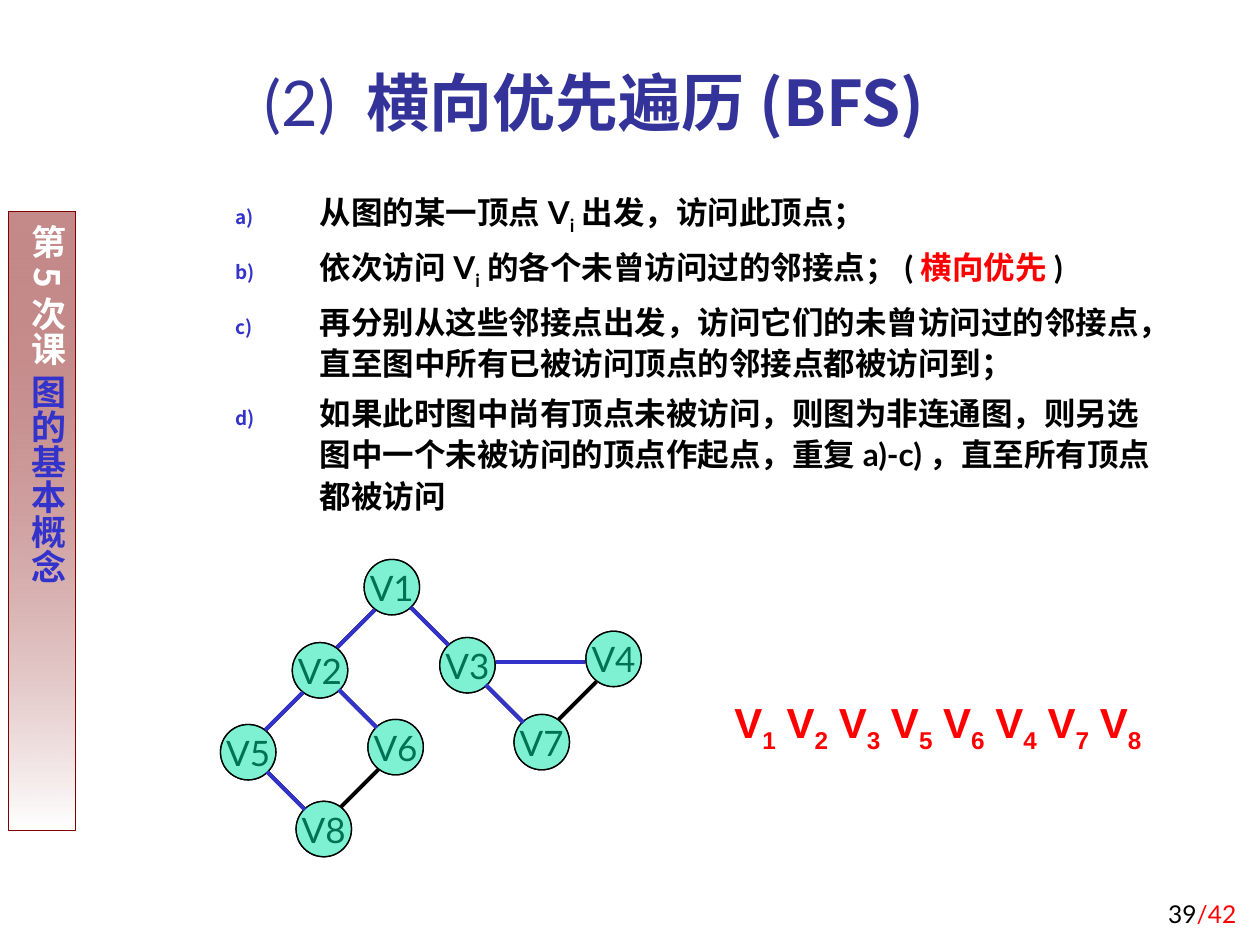
"""Builds the slide on breadth-first traversal of a graph."""
from math import copysign

from lxml import etree
from pptx import Presentation
from pptx.dml.color import RGBColor
from pptx.enum.shapes import MSO_CONNECTOR, MSO_SHAPE
from pptx.enum.text import MSO_ANCHOR, PP_ALIGN
from pptx.oxml.ns import qn
from pptx.util import Inches, Pt

LEFT, CENTER, RIGHT = PP_ALIGN.LEFT, PP_ALIGN.CENTER, PP_ALIGN.RIGHT
TOP, MIDDLE, BOTTOM = MSO_ANCHOR.TOP, MSO_ANCHOR.MIDDLE, MSO_ANCHOR.BOTTOM
RECTANGLE, OVAL = MSO_SHAPE.RECTANGLE, MSO_SHAPE.OVAL
STRAIGHT = MSO_CONNECTOR.STRAIGHT

BLACK = RGBColor(0x00, 0x00, 0x00)
WHITE = RGBColor(0xFF, 0xFF, 0xFF)
RED = RGBColor(0xFF, 0x00, 0x00)
MAROON = RGBColor(0x80, 0x00, 0x00)
BLUE = RGBColor(0x33, 0x33, 0xCC)
NAVY = RGBColor(0x33, 0x33, 0x99)
MINT = RGBColor(0x00, 0xE4, 0xA8)

LATO, CJK, ARIAL = "Lato", "Noto Sans CJK SC", "Arial"

STEPS = [
    [("从图的某一顶点V", {}), ("i", {"sub": True}), ("出发，访问此顶点；", {})],
    [("依次访问V", {}), ("i", {"sub": True}), ("的各个未曾访问过的邻接点；(", {}),
     ("横向优先", {"color": RED}), (")", {})],
    [("再分别从这些邻接点出发，访问它们的未曾访问过的邻接点，"
      "直至图中所有已被访问顶点的邻接点都被访问到；", {})],
    [("如果此时图中尚有顶点未被访问，则图为非连通图，则另选图中一个未被访问的顶点作起点，"
      "重复a)-c)，直至所有顶点都被访问", {})],
]
VERTICES = {
    "V1": (2.89, 4.44), "V2": (2.32, 5.1), "V3": (3.49, 5.06), "V4": (4.65, 5.01),
    "V5": (1.75, 5.75), "V6": (2.92, 5.71), "V7": (4.08, 5.67), "V8": (2.35, 6.36),
}
TREE_EDGES = [("V1", "V2"), ("V1", "V3"), ("V2", "V5"), ("V2", "V6"),
              ("V3", "V4"), ("V3", "V7"), ("V5", "V8")]
OTHER_EDGES = [("V4", "V7"), ("V6", "V8")]
VISIT_ORDER = "12356478"
DIAMETER = 0.44


class GraphSlide:
    """Holds the current slide and draws its kinds of element in one style."""

    def __init__(self, slide):
        self.slide = slide

    def fill_paragraph(self, paragraph, runs, size, font, color, bold=False, align=LEFT):
        paragraph.alignment = align
        paragraph.font.size = Pt(size)
        paragraph.font.bold = bold
        paragraph.font.name = font
        paragraph.font.color.rgb = color
        for words, change in runs:
            run = paragraph.add_run()
            run.text = words
            if "color" in change:
                run.font.color.rgb = change["color"]
            if "font" in change:
                run.font.name = change["font"]
            if "bold" in change:
                run.font.bold = change["bold"]
            if change.get("sub"):
                run.font._element.set("baseline", "-25000")

    def text(self, box, runs, size, font, color, anchor=TOP, wrap=True, **style):
        frame = self.slide.shapes.add_textbox(*map(Inches, box)).text_frame
        frame.word_wrap = wrap
        frame.vertical_anchor = anchor
        self.fill_paragraph(frame.paragraphs[0], runs, size, font, color, **style)

    def steps(self, box, steps):
        frame = self.slide.shapes.add_textbox(*map(Inches, box)).text_frame
        frame.word_wrap = True
        for number, runs in enumerate(steps):
            step = frame.add_paragraph() if number else frame.paragraphs[0]
            step.line_spacing = 1.1
            step.space_before = Pt(4.5 if number else 0)
            props = step._p.get_or_add_pPr()
            props.set("marL", str(Inches(0.67)))
            props.set("indent", str(Inches(-0.67)))
            bullet_color = etree.SubElement(props, qn("a:buClr"))
            etree.SubElement(bullet_color, qn("a:srgbClr"), val=str(BLUE))
            etree.SubElement(props, qn("a:buSzPct"), val="60000")
            etree.SubElement(props, qn("a:buAutoNum"), type="alphaLcParenR")
            self.fill_paragraph(step, runs, 18, LATO, BLACK, bold=True)

    def shape(self, kind, box, outline):
        shape = self.slide.shapes.add_shape(kind, *map(Inches, box))
        shape.shadow.inherit = False
        shape.line.color.rgb = outline
        shape.line.width = Pt(0.75)
        return shape

    def banner(self, box, runs):
        banner = self.shape(RECTANGLE, box, MAROON)
        banner.fill.gradient()
        shading = banner._element.spPr.find(qn("a:gradFill"))
        shading.find(qn("a:lin")).set("ang", "5400000")
        for stop, color in zip(banner.fill.gradient_stops, (MAROON, WHITE)):
            stop.color.rgb = color
        self.fade(shading.find(".//" + qn("a:srgbClr")), 46)
        frame = banner.text_frame
        frame.margin_left = frame.margin_right = Inches(0.05)
        frame.margin_top = frame.margin_bottom = Inches(0.1)
        frame.vertical_anchor = TOP
        frame._txBody.bodyPr.set("vert", "eaVert")
        self.fill_paragraph(frame.paragraphs[0], runs, 20, CJK, WHITE,
                            bold=True, align=CENTER)

    def fade(self, color, percent):
        etree.SubElement(color, qn("a:alpha"), val=str(percent * 1000))

    def vertex(self, name):
        vertex = self.shape(OVAL, (*VERTICES[name], DIAMETER, DIAMETER), BLACK)
        vertex.fill.solid()
        vertex.fill.fore_color.rgb = WHITE
        frame = vertex.text_frame
        frame.word_wrap = False
        frame.vertical_anchor = MIDDLE
        self.fill_paragraph(frame.paragraphs[0], [(name, {})], 20, LATO, BLACK,
                            align=CENTER)

    def visited(self, name):
        veil = self.shape(OVAL, (*VERTICES[name], DIAMETER, DIAMETER), BLACK)
        veil.fill.solid()
        veil.fill.fore_color.rgb = MINT
        self.fade(veil._element.spPr.find(qn("a:solidFill")).find(qn("a:srgbClr")), 50)

    def edge(self, start, end, color):
        (x1, y1), (x2, y2) = VERTICES[start], VERTICES[end]
        mid_x, mid_y = (x1 + x2 + DIAMETER) / 2, (y1 + y2 + DIAMETER) / 2
        level = abs(y2 - y1) < 0.1
        dx = copysign(0.35 if level else 0.15, x2 - x1)
        dy = 0 if level else copysign(0.15, y2 - y1)
        ends = (mid_x - dx, mid_y - dy, mid_x + dx, mid_y + dy)
        edge = self.slide.shapes.add_connector(STRAIGHT, *map(Inches, ends))
        edge.line.color.rgb = color
        edge.line.width = Pt(2.25)
        etree.SubElement(edge._element.spPr, qn("a:effectLst"))


def main():
    deck = Presentation()
    deck.slide_width, deck.slide_height = Inches(10), Inches(7.5)
    page = GraphSlide(deck.slides.add_slide(deck.slide_layouts[6]))

    page.banner((0.07, 1.68, 0.53, 4.91),
                [("第5次课 ", {}), ("图的基本概念", {"color": BLUE})])
    page.text((7.83, 6.92, 2.08, 0.5), [("39", {}), ("/42", {"color": RED})],
              14, LATO, BLACK, anchor=BOTTOM, align=RIGHT)
    page.text((1.69, 0.36, 6.06, 0.79),
              [("(2) ", {}), ("横向优先遍历(BFS)", {"font": CJK, "bold": True})],
              36, LATO, NAVY, anchor=BOTTOM, align=CENTER)
    page.steps((1.77, 1.45, 7.58, 2.86), STEPS)

    for name in VERTICES:
        page.vertex(name)
    for start, end in TREE_EDGES + OTHER_EDGES:
        page.edge(start, end, BLACK)
    for name in VERTICES:
        page.visited(name)
    for start, end in TREE_EDGES:
        page.edge(start, end, BLUE)

    pitch = 2.9 / (len(VISIT_ORDER) - 1)
    for place, digit in enumerate(VISIT_ORDER):
        page.text((5.73 + place * pitch, 5.48, 0.58, 0.56),
                  [("V", {}), (digit, {"sub": True})],
                  24, ARIAL, RED, wrap=False, bold=True)
    deck.save("out.pptx")


if __name__ == "__main__":
    main()
